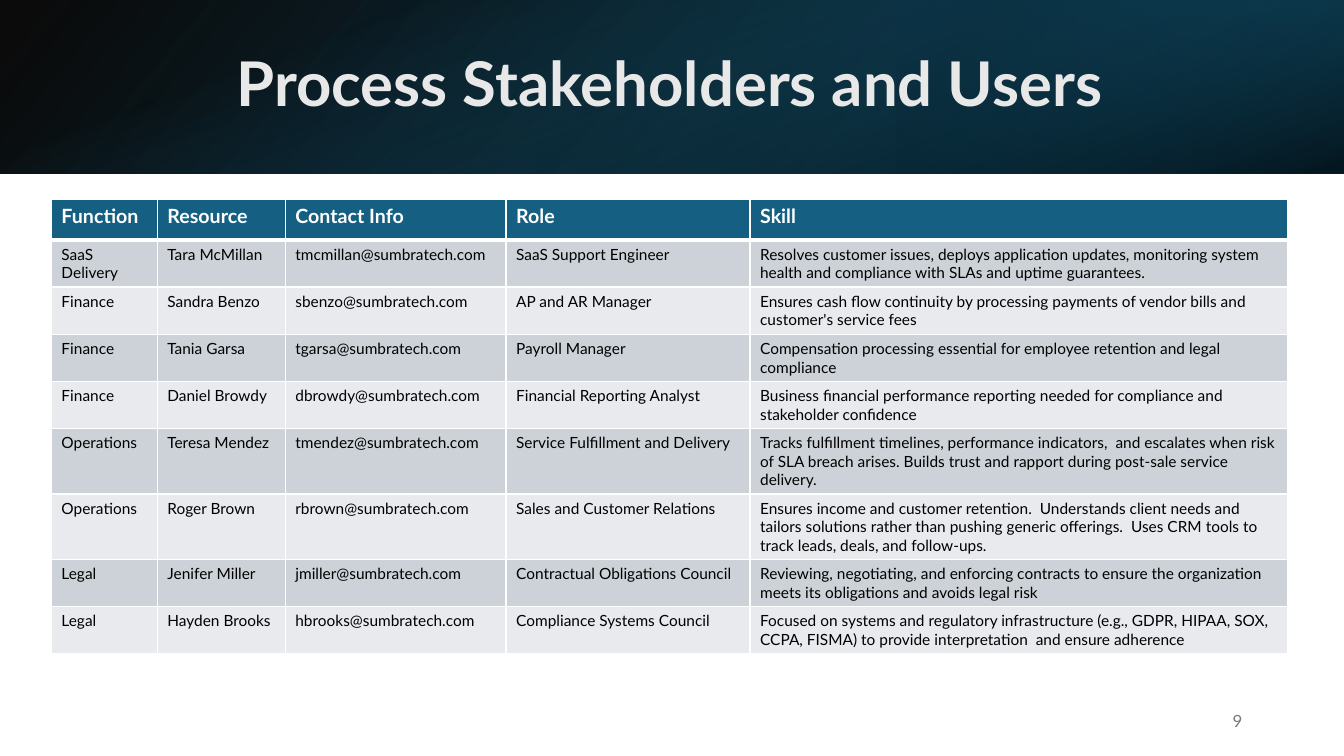
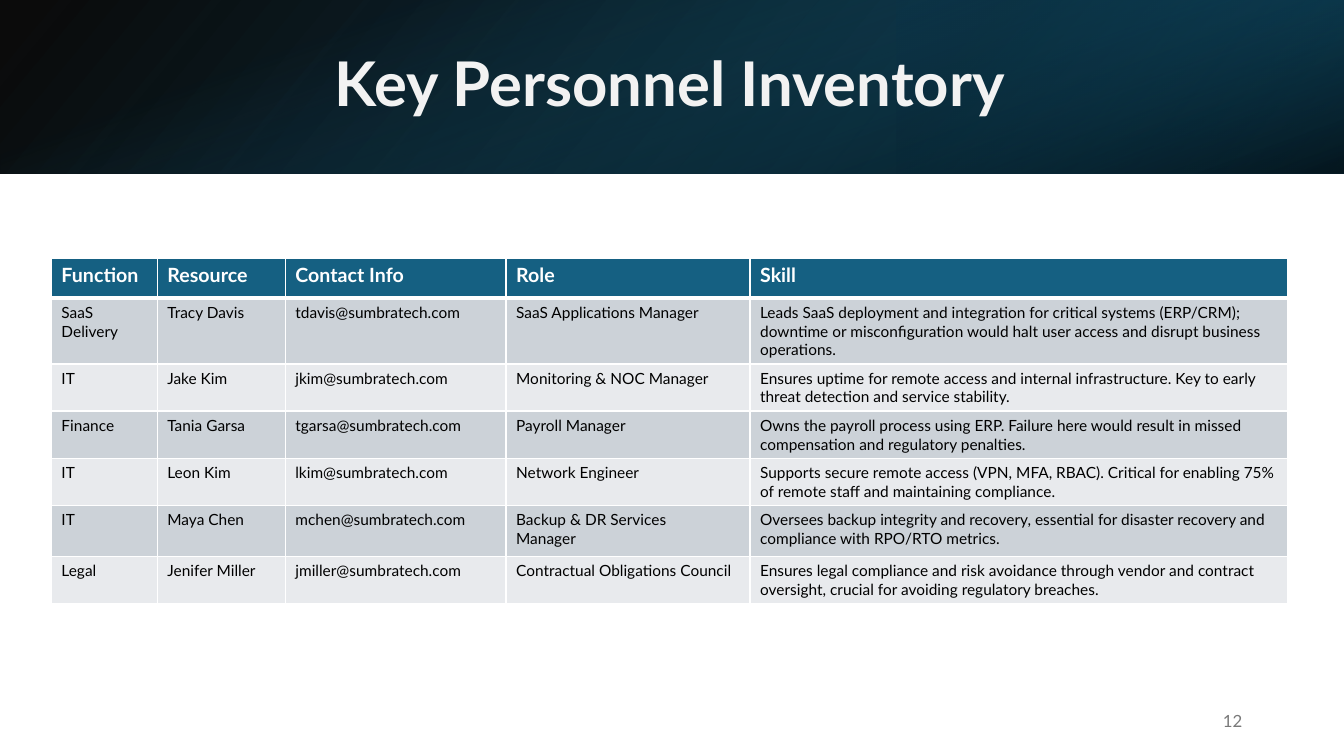
from dataclasses import dataclass

import pptx
import pptx.dml.color
import pptx.enum.shapes
import pptx.enum.text
import pptx.oxml
import pptx.oxml.ns
import pptx.util
from pptx.util import Inches

FONT = "Lato"
WHITE = "FFFFFF"
BLACK = "000000"
TEAL = "156082"
PAGE_GREY = "797979"
BAND_FILLS = ("CCD2D8", "E8EAED")

SLIDE_WIDTH, SLIDE_HEIGHT = 13.33, 7.5
MARGIN, CONTENT_WIDTH = 0.51, 12.27
BAND_HEIGHT = 1.72
HEADINGS = ("Function", "Resource", "Contact Info", "Role", "Skill")
COLUMN_WIDTHS = (1.05, 1.27, 2.19, 2.42, 5.33)
HEADER_HEIGHT, ROW_HEIGHT = 0.4, 0.44
MAIL_DOMAIN = "sumbratech.com"

ALIGN = pptx.enum.text.PP_ALIGN


@dataclass(frozen=True)
class GradientStop:
    position: float
    color: str
    opacity: int


@dataclass(frozen=True)
class BandLayer:
    left: float
    top: float
    width: float
    height: float
    stops: tuple[GradientStop, GradientStop]
    clockwise_angle: int
    rotation: int = 0
    flipped: bool = False


@dataclass(frozen=True)
class Person:
    function: str
    name: str
    role: str
    skill: str
    row_height: float = ROW_HEIGHT

    def email(self) -> str:
        first, last = self.name.lower().split()
        return f"{first[0]}{last}@{MAIL_DOMAIN}"

    def cells(self) -> tuple[str, ...]:
        return self.function, self.name, self.email(), self.role, self.skill


@dataclass(frozen=True)
class Page:
    number: int
    title: str
    title_color: str
    table_top: float
    people: tuple[Person, ...]


BAND_LAYERS = (
    BandLayer(0, 0, SLIDE_WIDTH, BAND_HEIGHT,
              (GradientStop(0, BLACK, 96), GradientStop(1, "104862", 100)),
              140, flipped=True),
    BandLayer(8.89, 0, 4.44, BAND_HEIGHT,
              (GradientStop(0.19, "0B3041", 68), GradientStop(1, TEAL, 79)),
              320, rotation=180, flipped=True),
    BandLayer((SLIDE_WIDTH - BAND_HEIGHT) / 2, (BAND_HEIGHT - SLIDE_WIDTH) / 2,
              BAND_HEIGHT, SLIDE_WIDTH,
              (GradientStop(0.23, TEAL, 0), GradientStop(0.99, BLACK, 74)),
              340, rotation=90),
)

PAGES = (
    Page(9, "Process Stakeholders and Users", "E8E8E8", 1.98, (
        Person("SaaS Delivery", "Tara McMillan", "SaaS Support Engineer",
               "Resolves customer issues, deploys application updates, monitoring system "
               "health and compliance with SLAs and uptime guarantees."),
        Person("Finance", "Sandra Benzo", "AP and AR Manager",
               "Ensures cash flow continuity by processing payments of vendor bills and "
               "customer's service fees"),
        Person("Finance", "Tania Garsa", "Payroll Manager",
               "Compensation processing essential for employee retention and legal "
               "compliance"),
        Person("Finance", "Daniel Browdy", "Financial Reporting Analyst",
               "Business financial performance reporting needed for compliance and "
               "stakeholder confidence"),
        Person("Operations", "Teresa Mendez", "Service Fulfillment and Delivery",
               "Tracks fulfillment timelines, performance indicators,  and escalates when "
               "risk of SLA breach arises. Builds trust and rapport during post-sale "
               "service delivery."),
        Person("Operations", "Roger Brown", "Sales and Customer Relations",
               "Ensures income and customer retention.  Understands client needs and "
               "tailors solutions rather than pushing generic offerings.  Uses CRM tools "
               "to track leads, deals, and follow-ups."),
        Person("Legal", "Jenifer Miller", "Contractual Obligations Council",
               "Reviewing, negotiating, and enforcing contracts to ensure the organization "
               "meets its obligations and avoids legal risk"),
        Person("Legal", "Hayden Brooks", "Compliance Systems Council",
               "Focused on systems and regulatory infrastructure (e.g., GDPR, HIPAA, SOX, "
               "CCPA, FISMA) to provide interpretation  and ensure adherence"),
    )),
    Page(12, "Key Personnel Inventory", "F2F2F2", 2.56, (
        Person("SaaS Delivery", "Tracy Davis", "SaaS Applications Manager",
               "Leads SaaS deployment and integration for critical systems (ERP/CRM); "
               "downtime or misconfiguration would halt user access and disrupt business "
               "operations."),
        Person("IT", "Jake Kim", "Monitoring & NOC Manager",
               "Ensures uptime for remote access and internal infrastructure. Key to early "
               "threat detection and service stability."),
        Person("Finance", "Tania Garsa", "Payroll Manager",
               "Owns the payroll process using ERP. Failure here would result in missed "
               "compensation and regulatory penalties."),
        Person("IT", "Leon Kim", "Network Engineer",
               "Supports secure remote access (VPN, MFA, RBAC). Critical for enabling 75% "
               "of remote staff and maintaining compliance."),
        Person("IT", "Maya Chen", "Backup & DR Services\nManager",
               "Oversees backup integrity and recovery, essential for disaster recovery "
               "and compliance with RPO/RTO metrics.", 0.51),
        Person("Legal", "Jenifer Miller", "Contractual Obligations Council",
               "Ensures legal compliance and risk avoidance through vendor and contract "
               "oversight, crucial for avoiding regulatory breaches.", 0.47),
    )),
)


def rgb(color: str) -> pptx.dml.color.RGBColor:
    return pptx.dml.color.RGBColor.from_string(color)


def write_text(frame, text: str, size: int, color: str, bold: bool = False,
               align=ALIGN.LEFT, line_spacing: float = 1.0) -> None:
    """Write one paragraph for each line of the text."""
    for index, line in enumerate(text.split("\n")):
        paragraph = frame.add_paragraph() if index else frame.paragraphs[0]
        paragraph.alignment = align
        paragraph.line_spacing = line_spacing
        run = paragraph.add_run()
        run.text = line
        run.font.name = FONT
        run.font.size = pptx.util.Pt(size)
        run.font.bold = bold
        run.font.color.rgb = rgb(color)


def add_label(slide, left: float, top: float, width: float, height: float,
              text: str, size: int, color: str, **style) -> None:
    shape = slide.shapes.add_textbox(Inches(left), Inches(top),
                                     Inches(width), Inches(height))
    frame = shape.text_frame
    frame.word_wrap = True
    frame.vertical_anchor = pptx.enum.text.MSO_ANCHOR.MIDDLE
    write_text(frame, text, size, color, **style)


def add_band_layer(slide, layer: BandLayer) -> None:
    shape = slide.shapes.add_shape(
        pptx.enum.shapes.MSO_SHAPE.RECTANGLE, Inches(layer.left), Inches(layer.top),
        Inches(layer.width), Inches(layer.height))
    shape.shadow.inherit = False
    shape.line.fill.background()
    shape.rotation = layer.rotation
    properties = shape.element.spPr
    if layer.flipped:
        properties.find(pptx.oxml.ns.qn("a:xfrm")).set("flipH", "1")
    shape.fill.gradient()
    shape.fill.gradient_angle = 360 - layer.clockwise_angle
    for gradient_stop, stop in zip(shape.fill.gradient_stops, layer.stops):
        gradient_stop.position = stop.position
        gradient_stop.color.rgb = rgb(stop.color)
    colors = list(properties.iter(pptx.oxml.ns.qn("a:srgbClr")))
    for color, stop in zip(colors, layer.stops):
        color.append(pptx.oxml.parse_xml(
            f'<a:alpha {pptx.oxml.ns.nsdecls("a")} val="{stop.opacity * 1000}"/>'))


def set_borders(cell, top: int, bottom: int) -> None:
    """Give the cell white borders; the sides are 1 point wide."""
    properties = cell._tc.get_or_add_tcPr()
    for side, points in (("L", 1), ("R", 1), ("T", top), ("B", bottom)):
        properties.append(pptx.oxml.parse_xml(
            f'<a:ln{side} {pptx.oxml.ns.nsdecls("a")} w="{pptx.util.Pt(points)}">'
            f'<a:solidFill><a:srgbClr val="{WHITE}"/></a:solidFill></a:ln{side}>'))


def add_people_table(slide, top: float, people: tuple[Person, ...]) -> None:
    rows = [HEADINGS, *(person.cells() for person in people)]
    heights = [HEADER_HEIGHT, *(person.row_height for person in people)]
    table = slide.shapes.add_table(
        len(rows), len(HEADINGS), Inches(MARGIN), Inches(top),
        Inches(CONTENT_WIDTH), Inches(sum(heights))).table
    table.horz_banding = False
    for column, width in zip(table.columns, COLUMN_WIDTHS):
        column.width = Inches(width)
    for row_index, (texts, height) in enumerate(zip(rows, heights)):
        table.rows[row_index].height = Inches(height)
        header = row_index == 0
        fill = TEAL if header else BAND_FILLS[(row_index - 1) % 2]
        for column_index, text in enumerate(texts):
            cell = table.cell(row_index, column_index)
            set_borders(cell, top=3 if row_index == 1 else 1, bottom=3 if header else 1)
            cell.fill.solid()
            cell.fill.fore_color.rgb = rgb(fill)
            write_text(cell.text_frame, text, 14 if header else 11,
                       WHITE if header else BLACK, bold=header)


def add_page(presentation, page: Page) -> None:
    slide = presentation.slides.add_slide(presentation.slide_layouts[6])
    for layer in BAND_LAYERS:
        add_band_layer(slide, layer)
    add_label(slide, MARGIN, 0.38, CONTENT_WIDTH, 0.96, page.title, 44,
              page.title_color, bold=True, align=ALIGN.CENTER, line_spacing=0.9)
    add_people_table(slide, page.table_top, page.people)
    add_label(slide, 9.42, 6.95, 3, 0.4, str(page.number), 12, PAGE_GREY,
              align=ALIGN.RIGHT)


def main() -> None:
    presentation = pptx.Presentation()
    presentation.slide_width = Inches(SLIDE_WIDTH)
    presentation.slide_height = Inches(SLIDE_HEIGHT)
    for page in PAGES:
        add_page(presentation, page)
    presentation.save("out.pptx")


if __name__ == "__main__":
    main()
